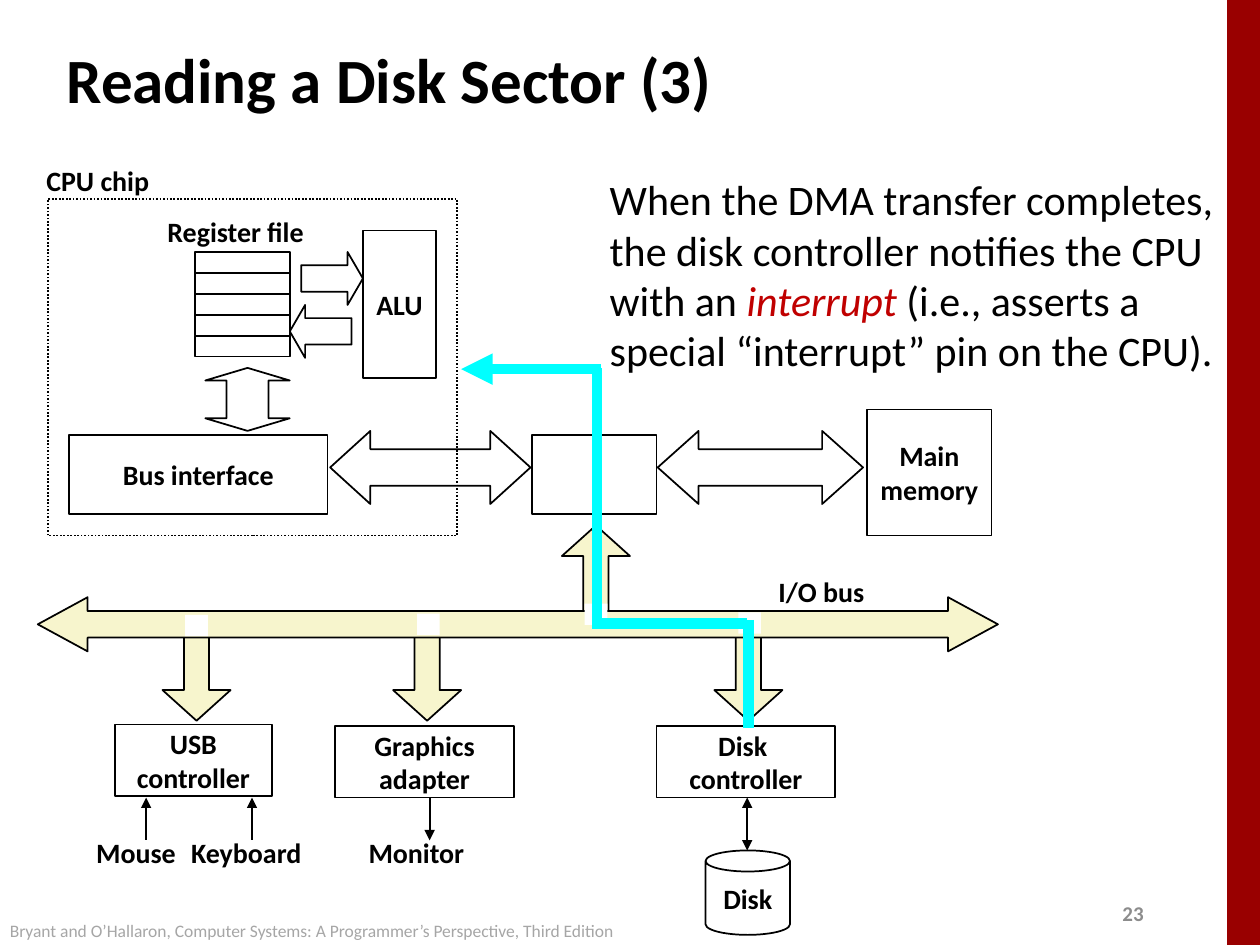
from dataclasses import dataclass
from lxml.etree import SubElement
from pptx import Presentation
from pptx.dml.color import RGBColor
from pptx.enum.dml import MSO_LINE
from pptx.enum.shapes import MSO_CONNECTOR, MSO_SHAPE as Kind
from pptx.enum.text import MSO_ANCHOR as Anchor, PP_ALIGN as Align
from pptx.oxml.ns import qn
from pptx.util import Inches, Pt


@dataclass(frozen=True)
class Theme:
    font: str = "Calibri"
    ink: str = "000000"
    paper: str = "FFFFFF"
    band: str = "990000"
    bus: str = "F7F5CD"
    signal: str = "00FFFF"
    accent: str = "C00000"
    number: str = "8C8C8C"
    footer: str = "A6A6A6"
    title_size: int = 36
    body_size: int = 24
    label_size: int = 16
    number_size: int = 12
    footer_size: int = 10
    thin: int = 1
    thick: int = 6


T = Theme()

# Lengths in inches; areas are left, top, width, height
TITLE = ("Reading a Disk Sector (3)", (0.43, 0.21, 8.3, 0.83))
NUMBER = ("23", (8.81, 7.1, 0.4, 0.3))
FOOTER = ("Bryant and O’Hallaron, Computer Systems: A Programmer’s Perspective, "
          "Third Edition", (-0.02, 7.25, 5.08, 0.27))
STORY = [
    ("When the DMA transfer completes, the disk controller notifies the CPU with an ", False),
    ("interrupt", True),
    (" (i.e., asserts a special “interrupt” pin on the CPU).", False),
]
STORY_AREA = (4.74, 1.33, 5.18, 1.72)
BAND = (9.74, 0, 0.26, 7.5)
CHIP = (0.38, 1.58, 3.25, 2.67)
REGS, REG_ROWS = (1.55, 2, 0.75, 0.83), 5

BOXES = [
    ("Main\nmemory", (6.88, 3.25, 0.99, 1)),
    ("", (4.22, 3.45, 0.99, 0.63)),
    ("ALU", (2.88, 1.83, 0.58, 1.17)),
    ("Bus interface", (0.55, 3.45, 2.05, 0.63)),
    ("USB\ncontroller", (0.91, 5.75, 1.25, 0.57)),
    ("Graphics\nadapter", (2.66, 5.76, 1.42, 0.57)),
    ("Disk \ncontroller", (5.21, 5.76, 1.42, 0.57)),
]
DISK = ("Disk", (5.6, 6.75, 0.67, 0.67))
LABELS = [
    ("CPU chip", (0.27, 1.25, 1.03, 0.37), Align.LEFT),
    ("Register file", (1.22, 1.65, 1.3, 0.37), Align.CENTER),
    ("I/O bus", (6.08, 4.51, 0.89, 0.37), Align.LEFT),
    ("Mouse", (0.66, 6.58, 0.84, 0.37), Align.CENTER),
    ("Keyboard", (1.41, 6.58, 1.09, 0.37), Align.CENTER),
    ("Monitor", (2.82, 6.58, 0.97, 0.37), Align.CENTER),
]
LINKS = [
    (Kind.LEFT_RIGHT_ARROW, (5.22, 3.42, 1.63, 0.58), (0.5, 0.56)),
    (Kind.LEFT_RIGHT_ARROW, (2.62, 3.42, 1.59, 0.58), (0.5, 0.55)),
    (Kind.RIGHT_ARROW, (2.39, 2, 0.49, 0.42), (0.5, 0.29)),
    (Kind.LEFT_ARROW, (2.3, 2.42, 0.49, 0.42), (0.5, 0.29)),
    (Kind.UP_DOWN_ARROW, (1.63, 2.92, 0.67, 0.5), (0.5, 0.2)),
]
BUS = ((0.3, 4.74, 7.62, 0.43), (0.49, 0.92))
TAP, TAP_ADJ = (0.54, 0.75), (0.37, 0.45)
UP_TAP = (4.46, 4.17)
DOWN_TAPS, DOWN_TOP = (1.29, 3.12, 5.67), 4.97
PATCH = (0.18, 0.17)
PATCHES = [(1.47, 4.88), (3.31, 4.87), (5.86, 4.86), (4.64, 4.79)]
# Start, end, arrow at start, arrow at end
WIRES = [
    ((1.16, 6.33), (1.16, 6.67), True, False),
    ((2, 6.33), (2, 6.67), True, False),
    ((3.41, 6.33), (3.41, 6.67), False, True),
    ((5.93, 6.33), (5.93, 6.75), True, True),
]
SIGNAL = [
    ((4.77, 2.93), (3.66, 2.93), False, True),
    ((4.74, 2.92), (4.74, 4.92), False, False),
    ((4.7, 4.95), (5.93, 4.95), False, False),
    ((5.94, 4.92), (5.94, 5.78), False, False),
]


def color(code):
    return RGBColor.from_string(code)


def style(run, size, code, bold=False, italic=False):
    font = run.font
    font.name, font.size = T.font, Pt(size)
    font.bold, font.italic = bold, italic
    font.color.rgb = color(code)


def write(shape, text, size=T.label_size, code=T.ink, bold=True,
          align=Align.CENTER, wrap=False):
    frame = shape.text_frame
    frame.text = text
    frame.word_wrap = wrap
    frame.vertical_anchor = Anchor.MIDDLE
    for para in frame.paragraphs:
        para.alignment = align
        for run in para.runs:
            style(run, size, code, bold)


def add_text(slide, text, area, **look):
    write(slide.shapes.add_textbox(*map(Inches, area)), text, **look)


def tune(shape, values):
    """Write the guides directly: the library misnames those of the up-down arrow."""
    guides = shape._element.spPr.find(qn("a:prstGeom")).get_or_add_avLst()
    for guide in list(guides):
        guides.remove(guide)
    for i, value in enumerate(values, 1):
        name = f"adj{i}" if len(values) > 1 else "adj"
        SubElement(guides, qn("a:gd"), name=name, fmla=f"val {round(value * 100000)}")


def add_form(slide, kind, area, adjust=(), fill=None, line=T.ink):
    shape = slide.shapes.add_shape(kind, *map(Inches, area))
    shape.shadow.inherit = False
    tune(shape, adjust)
    if fill:
        shape.fill.solid()
        shape.fill.fore_color.rgb = color(fill)
    else:
        shape.fill.background()
    if line:
        shape.line.color.rgb = color(line)
        shape.line.width = Pt(T.thin)
    else:
        shape.line.fill.background()
    return shape


def add_wire(slide, start, end, head, tail, code=T.ink, width=T.thin):
    wire = slide.shapes.add_connector(MSO_CONNECTOR.STRAIGHT, *map(Inches, start + end))
    wire.line.color.rgb = color(code)
    wire.line.width = Pt(width)
    props = wire.line._get_or_add_ln()
    for tag, shown in (("a:headEnd", head), ("a:tailEnd", tail)):
        if shown:
            SubElement(props, qn(tag), type="triangle")
    SubElement(wire._element.spPr, qn("a:effectLst"))


def add_story(slide):
    box = slide.shapes.add_textbox(*map(Inches, STORY_AREA))
    box.text_frame.word_wrap = True
    para = box.text_frame.paragraphs[0]
    for text, marked in STORY:
        run = para.add_run()
        run.text = text
        style(run, T.body_size, T.accent if marked else T.ink, italic=marked)


def add_cpu(slide):
    chip = add_form(slide, Kind.RECTANGLE, CHIP)
    chip.line.dash_style = MSO_LINE.ROUND_DOT
    left, top, width, height = REGS
    step = height / REG_ROWS
    for i in range(REG_ROWS):
        add_form(slide, Kind.RECTANGLE, (left, top + i * step, width, step))


def add_bus(slide):
    """Draw the bus over its taps, then hide the seams where they join."""
    add_form(slide, Kind.UP_ARROW, UP_TAP + TAP, TAP_ADJ, T.bus)
    for left in DOWN_TAPS:
        add_form(slide, Kind.DOWN_ARROW, (left, DOWN_TOP) + TAP, TAP_ADJ, T.bus)
    area, adjust = BUS
    add_form(slide, Kind.LEFT_RIGHT_ARROW, area, adjust, T.bus)
    for spot in PATCHES:
        add_form(slide, Kind.RECTANGLE, spot + PATCH, fill=T.paper, line=None)


def main():
    deck = Presentation()
    deck.slide_width, deck.slide_height = Inches(10), Inches(7.5)
    slide = deck.slides.add_slide(deck.slide_layouts[6])
    add_form(slide, Kind.RECTANGLE, BAND, fill=T.band, line=None)
    add_text(slide, *TITLE, size=T.title_size, align=Align.LEFT, wrap=True)
    add_text(slide, *NUMBER, size=T.number_size, code=T.number, align=Align.LEFT)
    add_cpu(slide)
    for link in LINKS:
        add_form(slide, *link)
    for text, area in BOXES:
        write(add_form(slide, Kind.RECTANGLE, area), text)
    text, area = DISK
    write(add_form(slide, Kind.CAN, area, (0.25,)), text)
    add_bus(slide)
    for text, area, align in LABELS:
        add_text(slide, text, area, align=align)
    for wire in WIRES:
        add_wire(slide, *wire)
    for wire in SIGNAL:
        add_wire(slide, *wire, code=T.signal, width=T.thick)
    add_story(slide)
    add_text(slide, *FOOTER, size=T.footer_size, code=T.footer, bold=False, align=Align.LEFT)
    deck.save("out.pptx")


if __name__ == "__main__":
    main()
